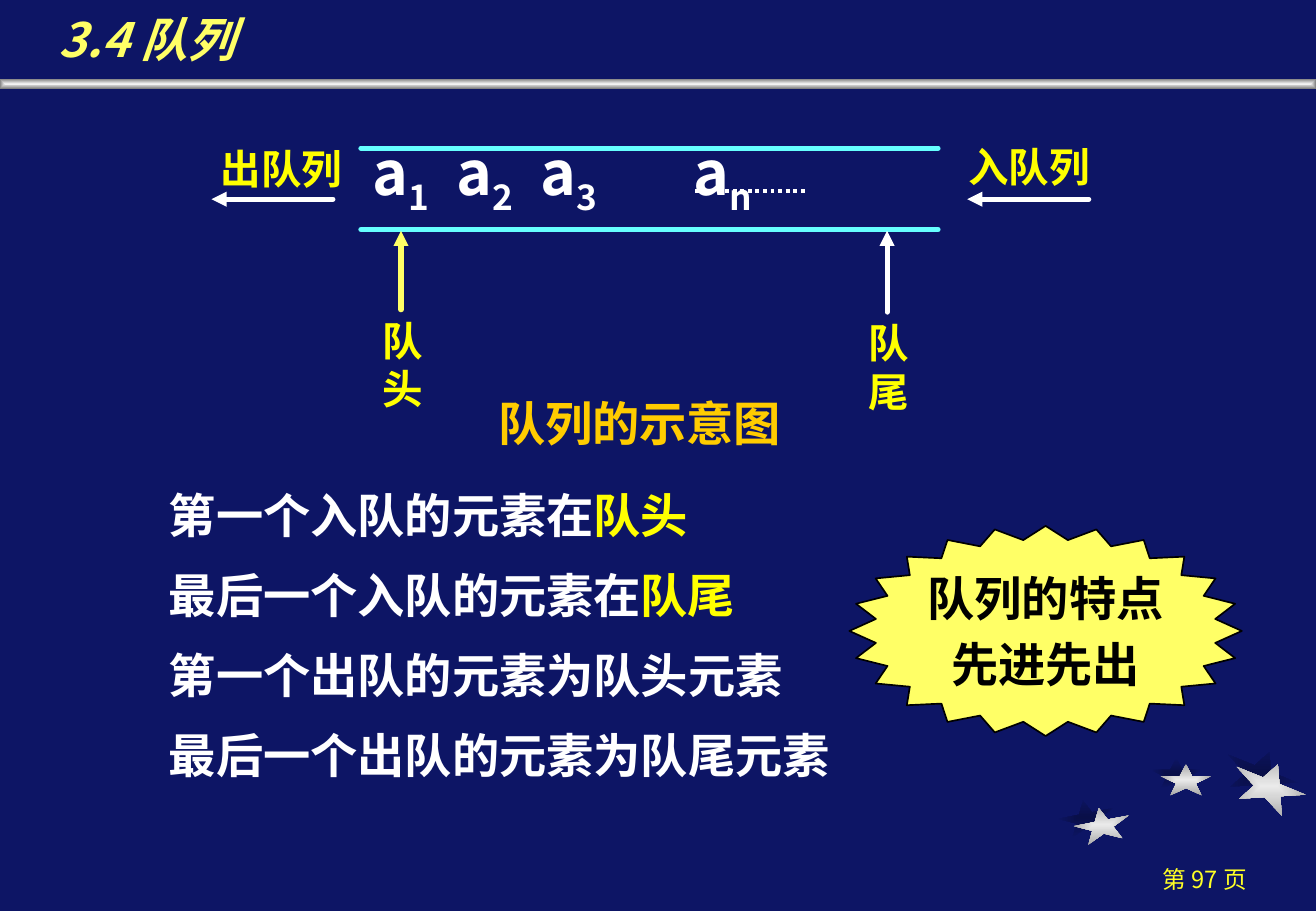
import pptx
import pptx.dml.color
import pptx.enum.dml
import pptx.enum.shapes
import pptx.enum.text
import pptx.oxml
import pptx.oxml.ns
import pptx.util
import lxml.etree
from dataclasses import dataclass

SCALE = 9144
SANS = "Noto Sans CJK SC"
SERIF = "Times New Roman"
WHITE, YELLOW, LEMON, CYAN = "FFFFFF", "FFFF00", "FFFF66", "66FFFF"
SHAPE = pptx.enum.shapes.MSO_SHAPE
ALIGN = pptx.enum.text.PP_ALIGN
ANCHOR = pptx.enum.text.MSO_ANCHOR


@dataclass
class Box:
    left: int
    top: int
    width: int
    height: int


@dataclass
class Part:
    text: str
    color: str = WHITE
    sub: bool = False


@dataclass
class Style:
    size: int
    bold: bool = True
    slant: bool = False
    font: str = SANS
    align: ALIGN = ALIGN.LEFT
    gap: float = 0


@dataclass
class Label:
    box: Box
    text: str
    style: Style
    color: str = YELLOW


@dataclass
class Line:
    start: tuple[int, int]
    end: tuple[int, int]
    color: str = WHITE
    width: float = 3
    arrow: bool = False
    dotted: bool = False


@dataclass
class Star:
    box: Box
    shade: Box
    angle: int


def px(count: int) -> int:
    return pptx.util.Emu(count * SCALE)


def edges(box: Box) -> tuple[int, ...]:
    return px(box.left), px(box.top), px(box.width), px(box.height)


def paint(target, color: str) -> None:
    target.rgb = pptx.dml.color.RGBColor.from_string(color)


def add_tag(parent, tag: str, **attrs: str):
    return lxml.etree.SubElement(parent, pptx.oxml.ns.qn(tag), **attrs)


def write(frame, rows: list[list[Part]], style: Style) -> None:
    frame.text = "\n".join("" for row in rows)
    for index, (para, row) in enumerate(zip(frame.paragraphs, rows)):
        para.alignment = style.align
        para.line_spacing = pptx.util.Pt(style.size * 1.2)
        para.space_before = pptx.util.Pt(style.gap if index else 0)
        for part in row:
            run = para.add_run()
            run.text = part.text
            font = run.font
            font.size = pptx.util.Pt(style.size)
            font.bold, font.italic, font.name = style.bold, style.slant, style.font
            paint(font.fill_color if hasattr(font, "fill_color") else font.color, part.color)
            props = run._r.get_or_add_rPr()
            add_tag(props, "a:ea", typeface=SANS)
            if part.sub:
                props.set("baseline", "-25000")


def add_text(slide, box: Box, rows: list[list[Part]], style: Style):
    shape = slide.shapes.add_textbox(*edges(box))
    shape.text_frame.word_wrap = True
    write(shape.text_frame, rows, style)
    return shape


def add_label(slide, label: Label):
    return add_text(slide, label.box, [[Part(label.text, label.color)]], label.style)


def add_line(slide, line: Line):
    kind = pptx.enum.shapes.MSO_CONNECTOR.STRAIGHT
    shape = slide.shapes.add_connector(kind, *map(px, line.start + line.end))
    paint(shape.line.color, line.color)
    shape.line.width = pptx.util.Pt(line.width)
    stroke = shape.line._get_or_add_ln()
    if line.dotted:
        shape.line.dash_style = pptx.enum.dml.MSO_LINE.ROUND_DOT
    else:
        stroke.set("cap", "rnd")
    if line.arrow:
        add_tag(stroke, "a:tailEnd", type="triangle")
    add_tag(shape._element.spPr, "a:effectLst")
    return shape


def add_blend(slide, kind, box: Box, inner: str, outer: str, angle: int = 0) -> None:
    shape = slide.shapes.add_shape(kind, *edges(box))
    shape.shadow.inherit = False
    shape.rotation = angle
    shape.line.fill.background()
    shape.fill.background()
    props = shape._element.spPr
    blend = pptx.oxml.parse_xml(
        f'<a:gradFill {pptx.oxml.ns.nsdecls("a")} rotWithShape="1"><a:gsLst>'
        f'<a:gs pos="0"><a:srgbClr val="{inner}"/></a:gs>'
        f'<a:gs pos="100000"><a:srgbClr val="{outer}"/></a:gs></a:gsLst>'
        '<a:path path="shape"><a:fillToRect l="50000" t="50000" r="50000" b="50000"/>'
        '</a:path></a:gradFill>')
    props.replace(props.find(pptx.oxml.ns.qn("a:noFill")), blend)


def fill_holder(holder, box: Box, rows: list[list[Part]], style: Style, anchor) -> None:
    holder.left, holder.top, holder.width, holder.height = edges(box)
    frame = holder.text_frame
    frame.word_wrap = True
    frame.auto_size = pptx.enum.text.MSO_AUTO_SIZE.NONE
    frame.vertical_anchor = anchor
    write(frame, rows, style)
    for para in frame.paragraphs:
        props = para._p.get_or_add_pPr()
        props.set("marL", "0")
        props.set("indent", "0")
        add_tag(props, "a:buNone")


def add_decor(slide) -> None:
    stars = [
        Star(Box(884, 665, 46, 28), Box(871, 659, 46, 28), 349),
        Star(Box(955, 629, 42, 26), Box(947, 624, 42, 26), 0),
        Star(Box(1014, 628, 61, 38), Box(1007, 618, 61, 38), 22),
    ]
    for star in stars:
        add_blend(slide, SHAPE.STAR_5_POINT, star.shade, "090F48", "0D1565", star.angle)
        add_blend(slide, SHAPE.STAR_5_POINT, star.box, "EAEAEA", "A7A7A7", star.angle)
    add_blend(slide, SHAPE.RECTANGLE, Box(0, 65, 1083, 8), "F2F2F2", "808080")
    page = Style(14, bold=False, align=ALIGN.CENTER)
    add_label(slide, Label(Box(900, 707, 183, 33), "第 97 页", page, "FFFF25"))


def add_queue(slide) -> None:
    items = []
    for index, mark in enumerate("123n"):
        items += [Part("\ta" if index else "a"), Part(mark, sub=True)]
    cells = add_text(slide, Box(297, 114, 560, 70), [items], Style(36))
    tabs = add_tag(cells.text_frame.paragraphs[0]._p.get_or_add_pPr(), "a:tabLst")
    for stop in (69, 138, 264):
        add_tag(tabs, "a:tab", pos=str(px(stop)), algn="l")

    for line in [
        Line((572, 157), (663, 157), width=2.25, dotted=True),
        Line((297, 122), (772, 122), CYAN),
        Line((297, 189), (772, 189), CYAN),
        Line((274, 164), (174, 164), arrow=True),
        Line((896, 164), (796, 164), arrow=True),
    ]:
        add_line(slide, line)

    note = Style(24)
    for left, top, text, color in [(305, 255, "队头", LEMON), (705, 257, "队尾", WHITE)]:
        label = add_label(slide, Label(Box(left, top, 50, 90), text, note))
        mid = left + 25
        arrow = add_line(slide, Line((mid, top), (mid, 190), color, arrow=True))
        arrow.begin_connect(label, 0)
    for label in [
        Label(Box(172, 114, 142, 50), "出队列", note),
        Label(Box(787, 112, 164, 50), "入队列", note),
        Label(Box(400, 320, 291, 57), "队列的示意图", Style(28), "FFCC00"),
    ]:
        add_label(slide, label)


def add_burst(slide) -> None:
    burst = slide.shapes.add_shape(SHAPE.STAR_24_POINT, *edges(Box(699, 433, 323, 173)))
    burst.adjustments[0] = 0.436
    burst.shadow.inherit = False
    burst.fill.solid()
    paint(burst.fill.fore_color, LEMON)
    paint(burst.line.color, "000000")
    burst.line.width = pptx.util.Pt(1)
    burst.text_frame.word_wrap = False
    burst.text_frame.vertical_anchor = ANCHOR.MIDDLE
    rows = [[Part(text, "000000")] for text in ("队列的特点", "先进先出")]
    write(burst.text_frame, rows, Style(28, align=ALIGN.CENTER, gap=5.5))


def main() -> None:
    deck = pptx.Presentation()
    deck.slide_width, deck.slide_height = px(1083), px(750)
    slide = deck.slides.add_slide(deck.slide_layouts[1])
    slide.background.fill.solid()
    paint(slide.background.fill.fore_color, "0D1565")
    add_decor(slide)
    fill_holder(slide.shapes.title, Box(38, 0, 1016, 60), [[Part("3.4 队列", LEMON)]],
                Style(28, slant=True), ANCHOR.BOTTOM)
    rules = [
        [Part("第一个入队的元素在"), Part("队头", YELLOW)],
        [Part("最后一个入队的元素在"), Part("队尾", YELLOW)],
        [Part("第一个出队的元素为队头元素")],
        [Part("最后一个出队的元素为队尾元素")],
    ]
    fill_holder(slide.placeholders[1], Box(129, 395, 606, 267), rules,
                Style(28, font=SERIF, gap=14), ANCHOR.TOP)
    add_queue(slide)
    add_burst(slide)
    deck.save("out.pptx")


if __name__ == "__main__":
    main()
